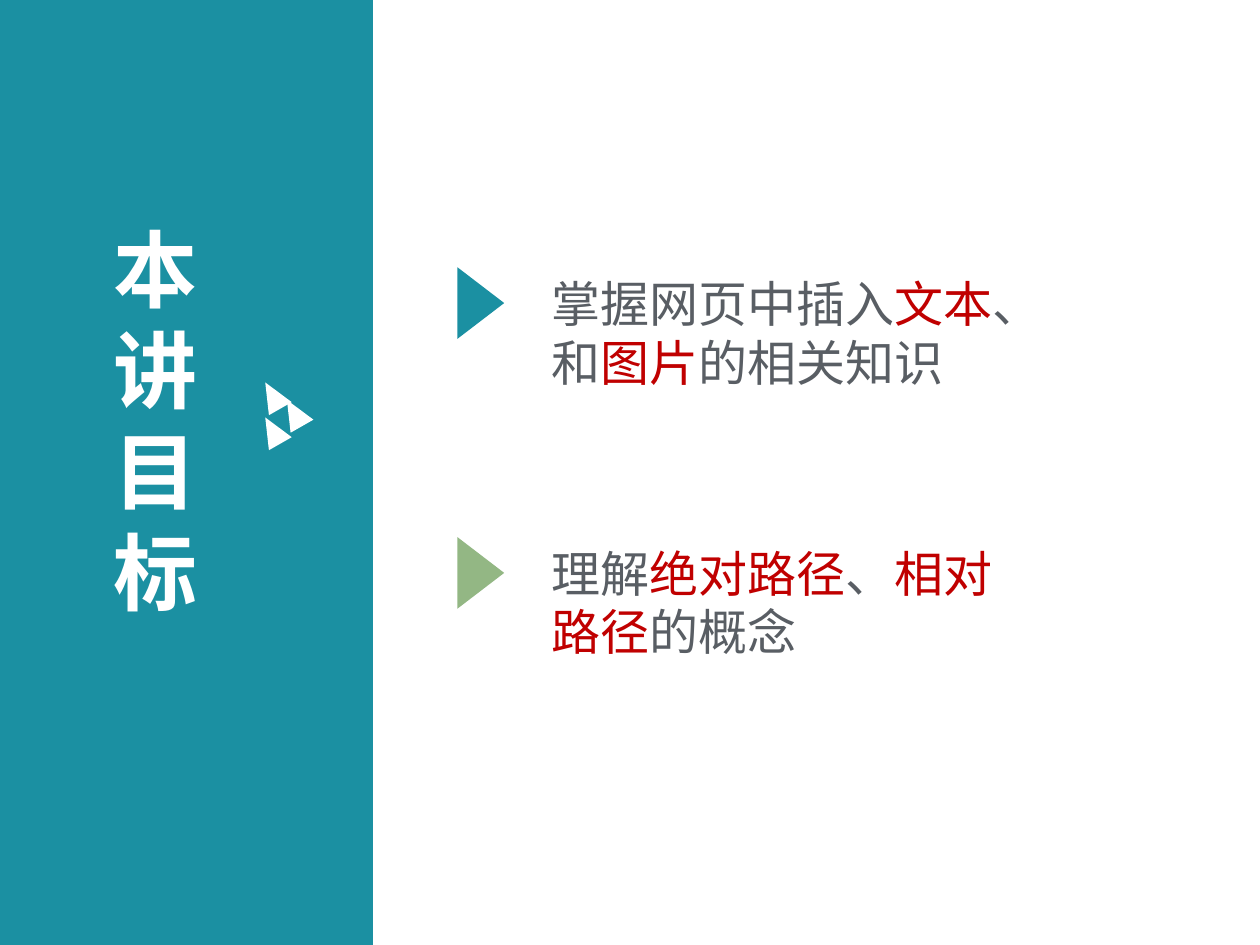
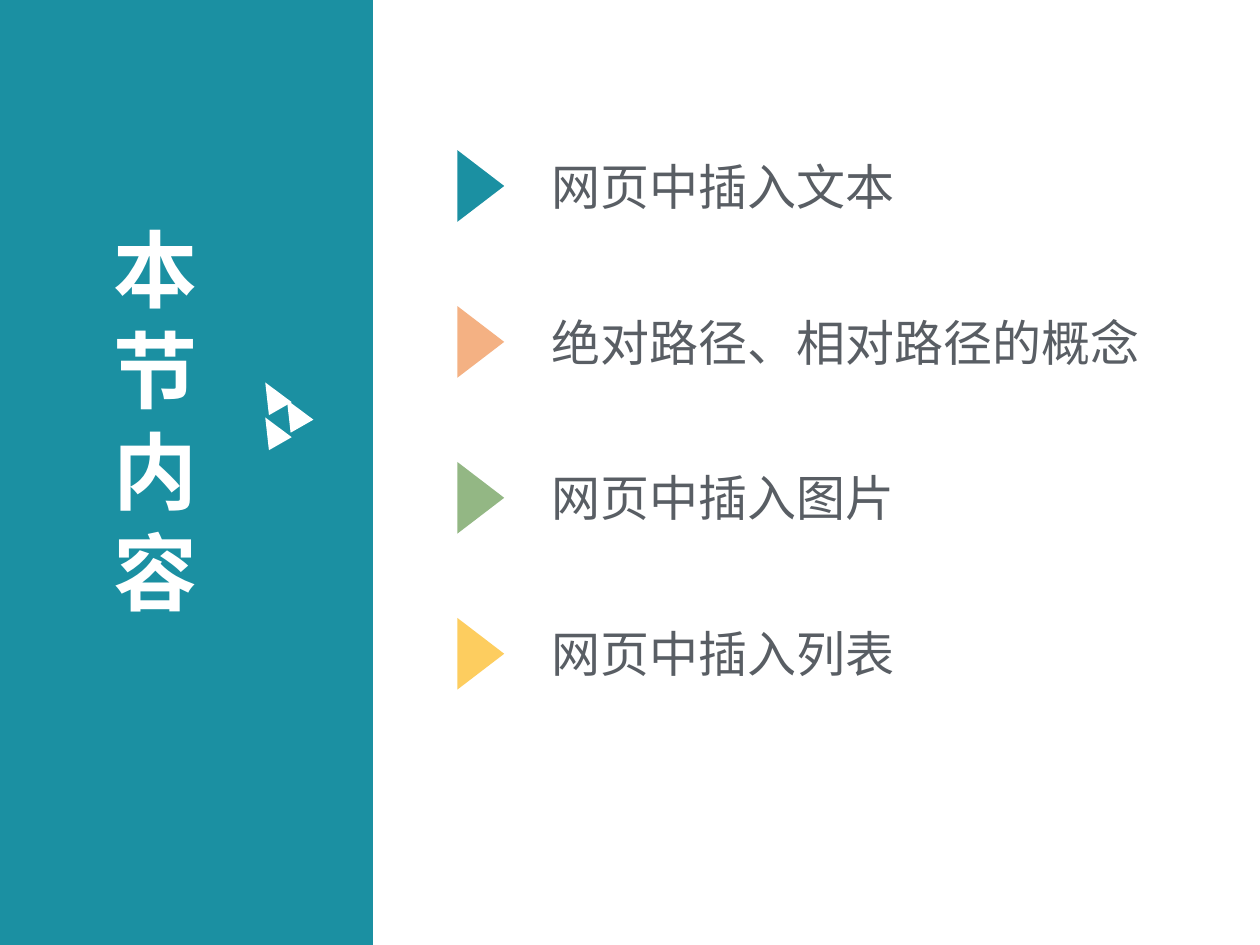
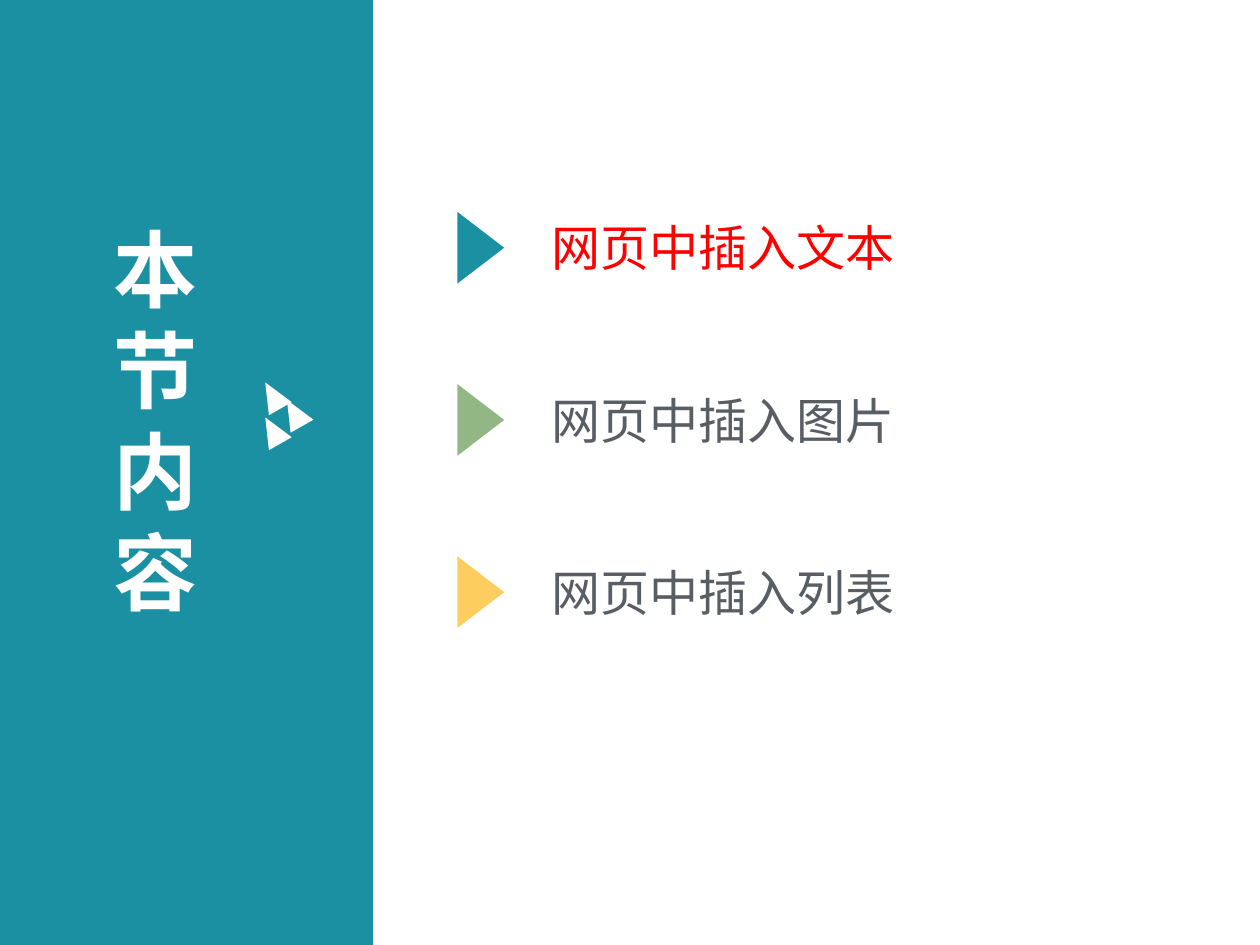
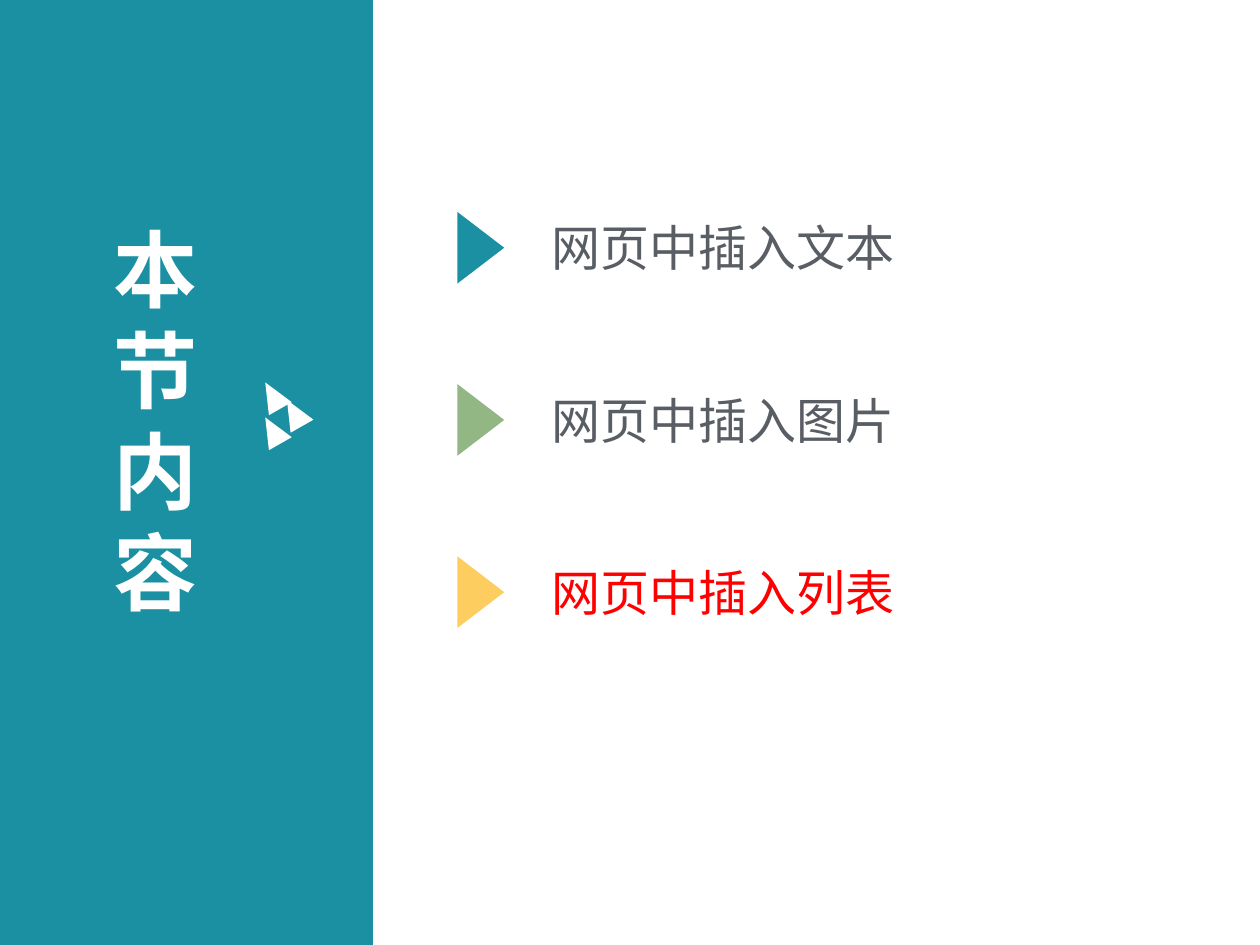
import dataclasses

import pptx
import pptx.dml.color
import pptx.enum.shapes
import pptx.enum.text
import pptx.util

Pt = pptx.util.Pt
MSO_SHAPE = pptx.enum.shapes.MSO_SHAPE


@dataclasses.dataclass(frozen=True)
class Theme:
    font: str = "Noto Sans CJK SC"
    title_size: int = 48
    body_size: int = 28
    teal: str = "1B90A2"
    green: str = "93B784"
    yellow: str = "FDCD5F"
    orange: str = "F4B183"
    white: str = "FFFFFF"
    grey: str = "595E64"
    keyword: str = "C00000"
    current: str = "FF0000"


class Deck:
    def __init__(self, theme):
        self.theme = theme
        self.prs = pptx.Presentation()
        self.prs.slide_width = Pt(720)
        self.prs.slide_height = Pt(540)
        self.s = None

    def shape(self, kind, x, y, w, h, color, rotation=0, parent=None):
        shapes = (parent or self.s).shapes
        sp = shapes.add_shape(kind, Pt(x), Pt(y), Pt(w), Pt(h))
        sp.shadow.inherit = False
        sp.fill.solid()
        sp.fill.fore_color.rgb = pptx.dml.color.RGBColor.from_string(color)
        sp.line.fill.background()
        sp.rotation = rotation
        return sp

    def text(self, x, y, w, h, runs, size, bold=False):
        """Add a wrapped text box; runs is a list of (text, colour)."""
        tf = self.s.shapes.add_textbox(Pt(x), Pt(y), Pt(w), Pt(h)).text_frame
        tf.word_wrap = True
        tf.auto_size = pptx.enum.text.MSO_AUTO_SIZE.SHAPE_TO_FIT_TEXT
        p = tf.paragraphs[0]
        for words, color in runs:
            r = p.add_run()
            r.text = words
            r.font.name = self.theme.font
            r.font.size = Pt(size)
            r.font.bold = bold
            r.font.color.rgb = pptx.dml.color.RGBColor.from_string(color)

    def slide(self, title):
        """Start a slide with the side band, vertical title and arrow."""
        t = self.theme
        self.s = self.prs.slides.add_slide(self.prs.slide_layouts[6])
        self.shape(MSO_SHAPE.RECTANGLE, 0, 0, 213.12, 540, t.teal)
        self.text(57.6, 121, 94.3, 240, [(title, t.white)], t.title_size, True)
        arrow = self.s.shapes.add_group_shape()
        for x, y in ((148.4, 217.4), (148.4, 237.4), (160.8, 227.4)):
            self.shape(MSO_SHAPE.ISOSCELES_TRIANGLE, x, y, 15, 17.3,
                       t.white, 330.2, arrow)

    def items(self, top, step, rows, height=41):
        """Stack rows of (marker colour, text width, runs) at equal steps."""
        for i, (color, width, runs) in enumerate(rows):
            y = top + i * step
            self.shape(MSO_SHAPE.ISOSCELES_TRIANGLE, 254.2, y + 7.2, 41, 26.8,
                       color, 90)
            self.text(308.2, y, width, height, runs, self.theme.body_size)


def main():
    t = Theme()
    deck = Deck(t)
    insert_text, insert_image, insert_list = (
        "网页中插入" + kind for kind in ("文本", "图片", "列表"))

    # Goals
    deck.slide("本讲目标")
    deck.items(152.6, 154.2, [
        (t.teal, 268.6, [("掌握网页中插入", t.grey), ("文本", t.keyword),
                         ("、和", t.grey), ("图片", t.keyword),
                         ("的相关知识", t.grey)]),
        (t.green, 268.6, [("理解", t.grey), ("绝对路径", t.keyword),
                          ("、", t.grey), ("相对路径", t.keyword),
                          ("的概念", t.grey)]),
    ], height=75)

    # Contents
    deck.slide("本节内容")
    deck.items(85.7, 89.1, [
        (t.teal, 216, [(insert_text, t.grey)]),
        (t.orange, 353.5, [("绝对路径、相对路径的概念", t.grey)]),
        (t.green, 262, [(insert_image, t.grey)]),
        (t.yellow, 216, [(insert_list, t.grey)]),
    ])

    # Contents with the current part in red
    for current in (insert_text, insert_list):
        deck.slide("本节内容")
        deck.items(121, 98.4, [
            (color, width, [(words, t.current if words == current else t.grey)])
            for color, width, words in (
                (t.teal, 216, insert_text),
                (t.green, 262, insert_image),
                (t.yellow, 216, insert_list))
        ])

    deck.prs.save("out.pptx")


if __name__ == "__main__":
    main()
